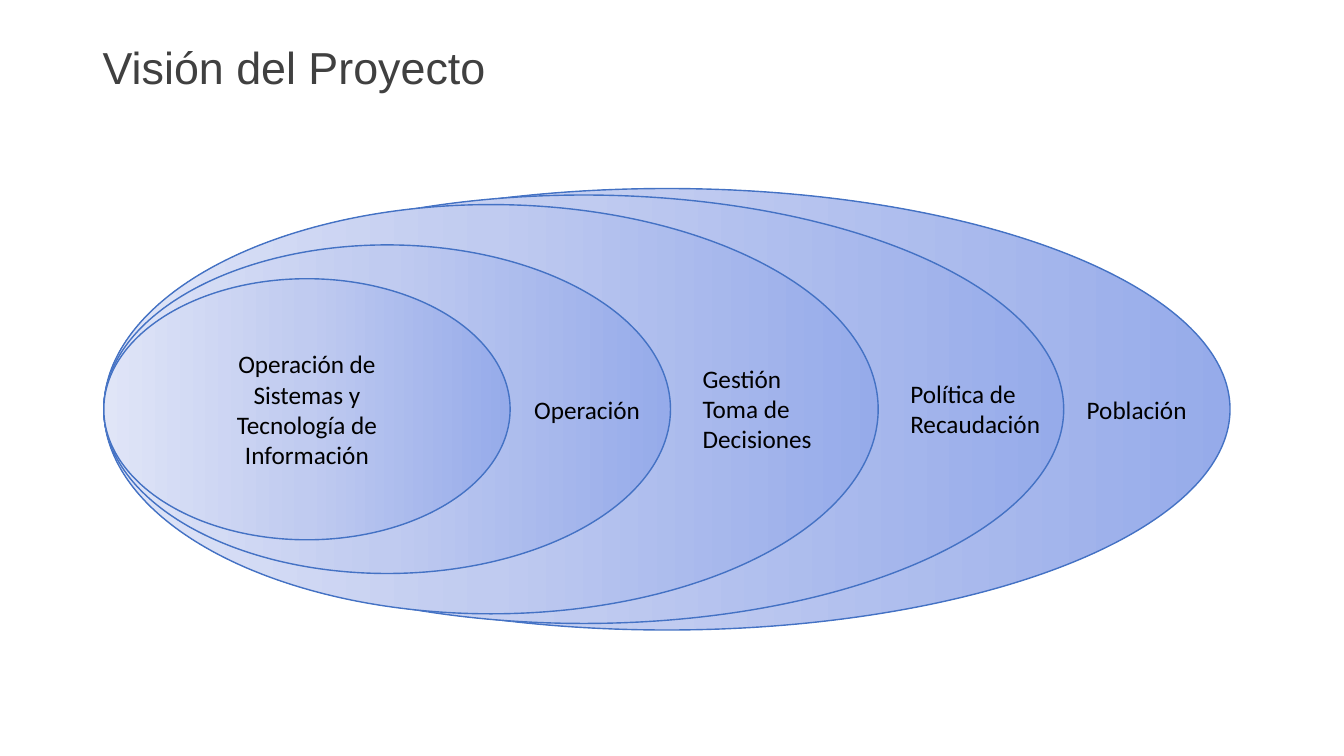
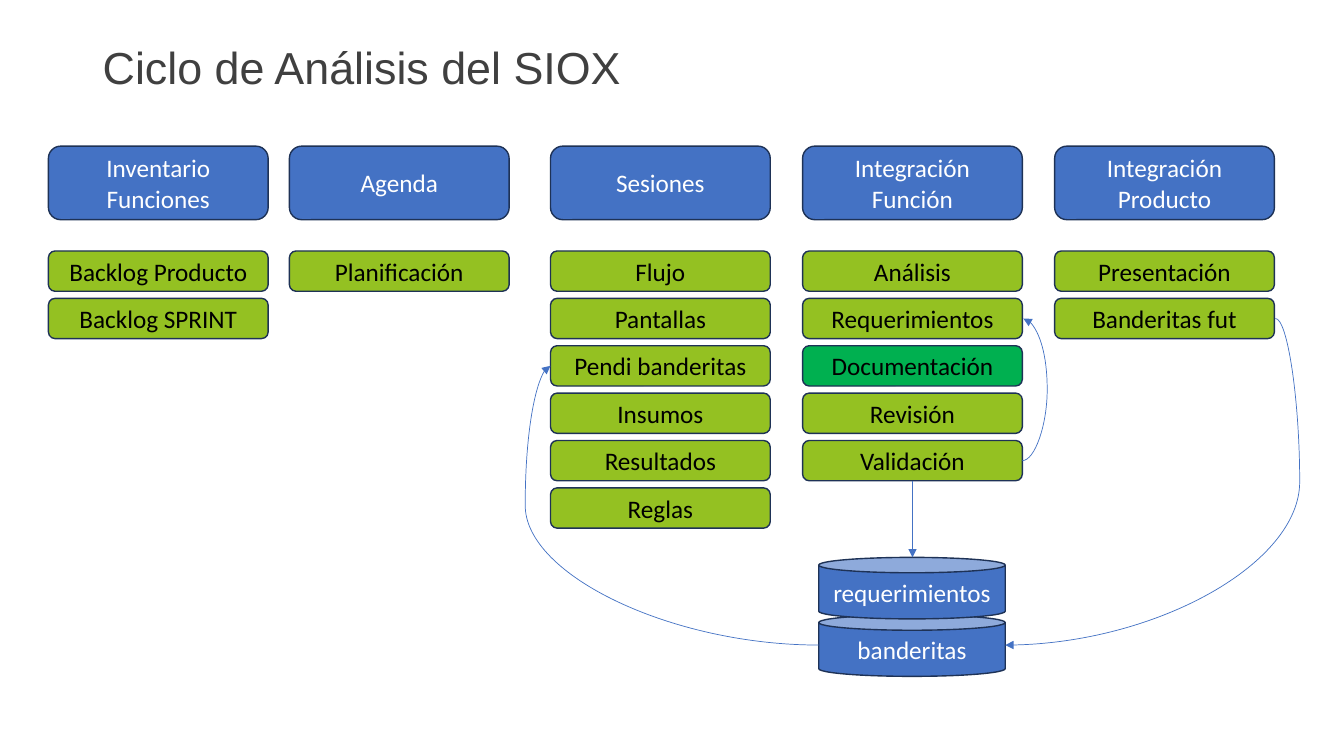
"""Build two slides: the project vision and the analysis cycle."""
from copy import deepcopy

from pptx import Presentation
from pptx.dml.color import RGBColor
from pptx.enum.shapes import MSO_CONNECTOR as LINK, MSO_SHAPE as SHAPE
from pptx.enum.text import MSO_ANCHOR as ANCHOR, PP_ALIGN as ALIGN
from pptx.oxml.ns import qn
from pptx.util import Inches, Pt

BLUE, NAVY, LIME, GREEN = "4472C4", "1E3256", "94C122", "00B050"
BLACK, WHITE, GRAY = "000000", "FFFFFF", "404040"
GRADIENT = [(0, "96ABEA"), (0.5, "C0CBF0"), (1, "E0E5F7")]


def rgb(value):
    return RGBColor.from_string(value)


def write(shape, text, color, align=ALIGN.CENTER, size=18, font="Calibri"):
    frame = shape.text_frame
    frame.word_wrap = True
    frame.text = text
    for paragraph in frame.paragraphs:
        paragraph.alignment = align
        paragraph.font.size = Pt(size)
        paragraph.font.name = font
        paragraph.font.color.rgb = rgb(color)


prs = Presentation()
prs.slide_width, prs.slide_height = Inches(13.33), Inches(7.5)
slides = []
for heading in ["Visión del Proyecto", "Ciclo de Análisis del SIOX"]:
    slide = prs.slides.add_slide(prs.slide_layouts[6])
    title = slide.shapes.add_textbox(Inches(0.92), Inches(0.38), Inches(9.84), Inches(0.63))
    write(title, heading, GRAY, ALIGN.LEFT, 32, "Arial")
    title.text_frame.vertical_anchor = ANCHOR.MIDDLE
    title.text_frame.paragraphs[0].line_spacing = 0.9
    slides.append(slide)
vision, cycle = slides

middle = 4.06
for width, height in [(11.17, 4.38), (9.52, 4.25), (7.68, 4.06), (5.62, 3.26), (4.03, 2.59)]:
    ring = vision.shapes.add_shape(SHAPE.OVAL, Inches(1.03), Inches(middle - height / 2),
                                   Inches(width), Inches(height))
    ring.shadow.inherit = False
    ring.line.color.rgb = rgb(BLUE)
    ring.line.width = Pt(1)
    ring.fill.gradient()
    ring.fill.gradient_angle = 180
    stop_list = ring._element.spPr.find(".//" + qn("a:gsLst"))
    stop_list.append(deepcopy(stop_list[-1]))
    for stop, (position, color) in zip(ring.fill.gradient_stops, GRADIENT):
        stop.position = position
        stop.color.rgb = rgb(color)
write(ring, "Operación de\nSistemas y\nTecnología de Información", BLACK)

for text, left, width, height in [
    ("Operación", 5.2, 1.26, 0.4),
    ("Gestión\nToma de Decisiones", 6.87, 1.61, 1.01),
    ("Política de\nRecaudación", 8.93, 1.61, 0.71),
    ("Población", 10.68, 1.61, 0.4),
]:
    label = vision.shapes.add_textbox(Inches(left), Inches(middle - height / 2),
                                      Inches(width), Inches(height))
    write(label, text, BLACK, ALIGN.LEFT)

stages = [
    (0.48, "Inventario\nFunciones", ["Backlog Producto", "Backlog SPRINT"]),
    (2.87, "Agenda", ["Planificación"]),
    (5.46, "Sesiones", ["Flujo", "Pantallas", "Pendi banderitas", "Insumos",
                        "Resultados", "Reglas"]),
    (7.96, "Integración\nFunción", ["Análisis", "Requerimientos", "Documentación",
                                    "Revisión", "Validación"]),
    (10.46, "Integración\nProducto", ["Presentación", "Banderitas fut"]),
]
boxes = []
for left, stage, steps in stages:
    boxes.append((SHAPE.ROUNDED_RECTANGLE, stage, left, 1.45, 2.18, 0.73, BLUE, WHITE))
    for row, step in enumerate(steps):
        fill = GREEN if step == "Documentación" else LIME
        boxes.append((SHAPE.ROUNDED_RECTANGLE, step, left, 2.49 + 0.47 * row, 2.18, 0.4,
                      fill, BLACK))
for store, top in [("banderitas", 6.1), ("requerimientos", 5.53)]:
    boxes.append((SHAPE.CAN, store, 8.12, top, 1.85, 0.61, BLUE, WHITE))

for kind, text, left, top, width, height, fill, color in boxes:
    box = cycle.shapes.add_shape(kind, Inches(left), Inches(top), Inches(width), Inches(height))
    box.shadow.inherit = False
    box.fill.solid()
    box.fill.fore_color.rgb = rgb(fill)
    box.line.color.rgb = rgb(NAVY)
    box.line.width = Pt(1)
    write(box, text, color)

for x1, y1, x2, y2, bend in [
    (10.14, 4.57, 10.15, 3.16, 10.39),
    (8.12, 6.4, 5.46, 3.63, 5.21),
    (12.65, 3.16, 9.97, 6.4, 12.89),
    (9.05, 4.77, 9.05, 5.53, None),
]:
    arrow = cycle.shapes.add_connector(LINK.CURVE if bend else LINK.STRAIGHT,
                                       Inches(x1), Inches(y1), Inches(x2), Inches(y2))
    arrow.line.color.rgb = rgb(BLUE)
    arrow.line.width = Pt(0.5)
    properties = arrow._element.spPr
    if bend:
        guides = properties.find(".//" + qn("a:avLst"))
        ratio = round((bend - x1) / (x2 - x1) * 100000)
        guides.append(guides.makeelement(qn("a:gd"), {"name": "adj1", "fmla": f"val {ratio}"}))
    outline = properties.find(qn("a:ln"))
    outline.append(outline.makeelement(qn("a:tailEnd"), {"type": "triangle"}))
    properties.append(properties.makeelement(qn("a:effectLst"), {}))

prs.save("out.pptx")
